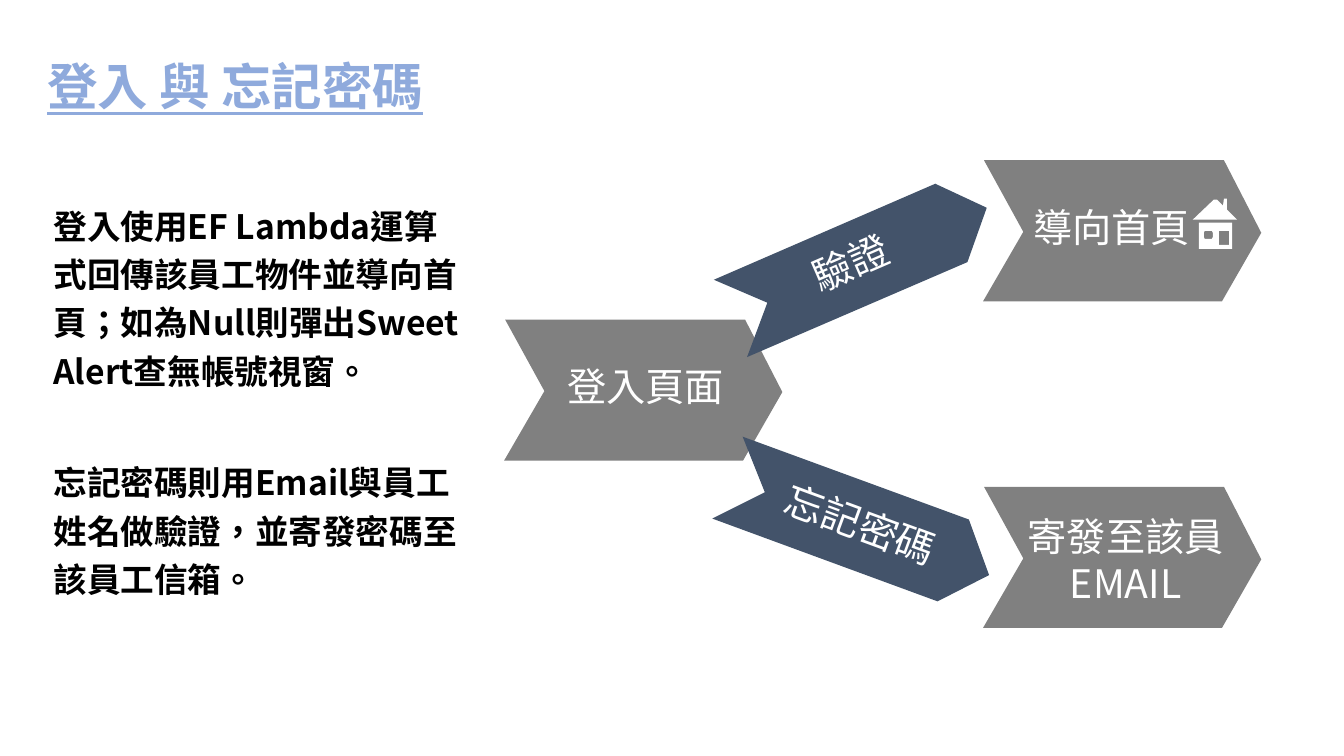
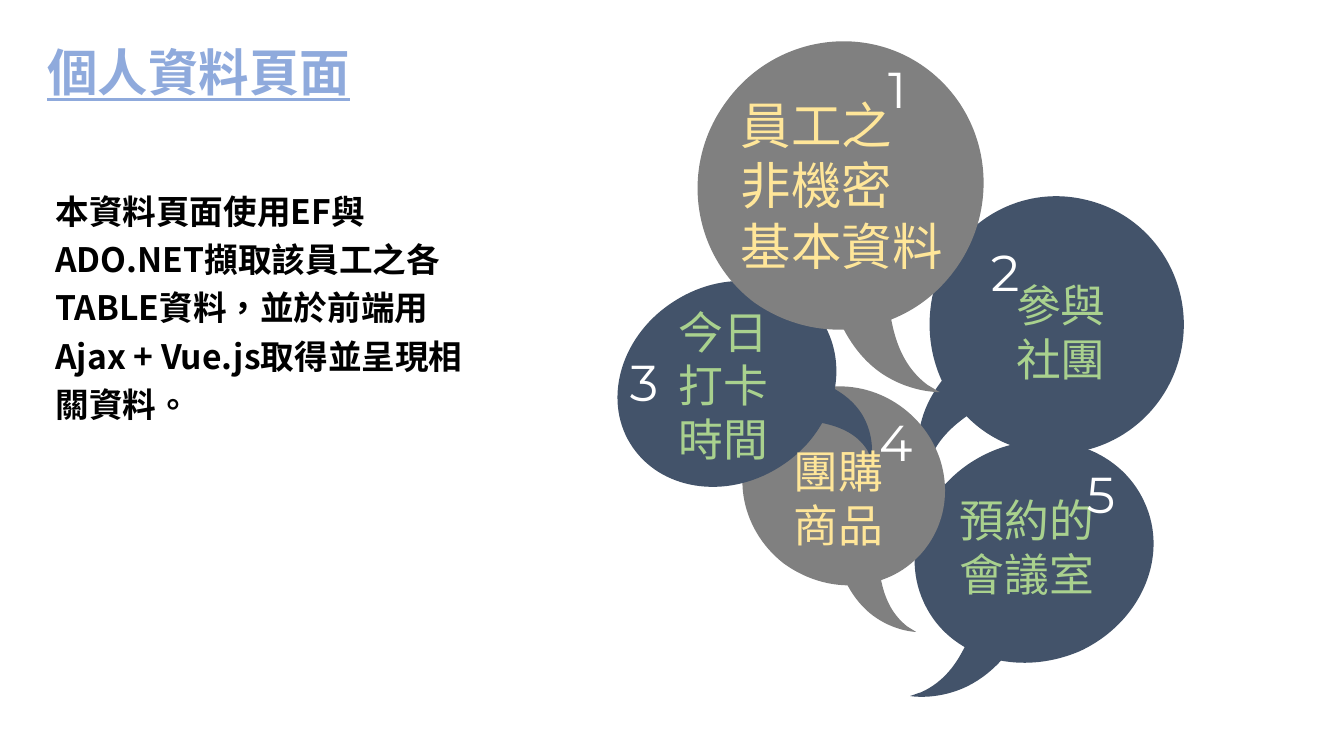
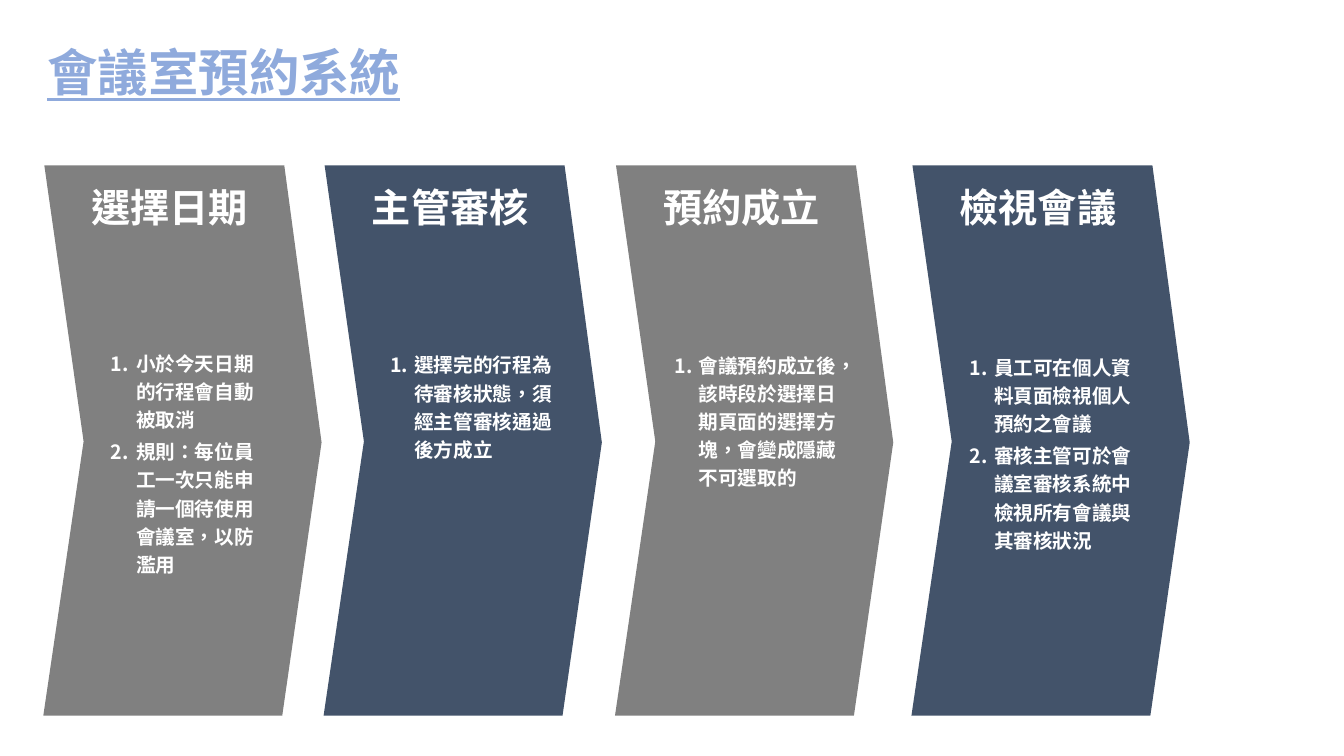
from math import cos, radians, sin

from lxml.etree import SubElement
from pptx import Presentation
from pptx.dml.color import RGBColor
from pptx.enum.text import MSO_ANCHOR, MSO_AUTO_SIZE, PP_ALIGN
from pptx.oxml.ns import qn
from pptx.util import Inches, Pt

# Shared look
GRAY, NAVY, WHITE, BLACK = "808080", "43536A", "FFFFFF", "000000"
BLUE, YELLOW, GREEN = "8FAADC", "FFE699", "A9D18E"
CJK = "Noto Sans CJK SC"
HEAD = {"size": Pt(36), "name": CJK, "bold": True, "underline": True}
BODY = {"size": Pt(24), "name": CJK, "bold": True}
LABEL = {"size": Pt(28), "name": CJK}
STEP = {"size": Pt(28), "name": CJK, "bold": True}
ITEM = {"size": Pt(14), "name": CJK, "bold": True}
DIGIT = {"size": Pt(36), "name": "Montserrat"}
PAD = (0.16, 0.08)

# Largest bubble: a start point, then curves of three points each
OUTLINE = [
    (9.19, 0.68),
    (9.82, 1.15), (9.94, 2.04), (9.47, 2.68),
    (9.3, 2.91), (9.09, 3.07), (8.84, 3.17),
    (8.88, 3.38), (8.96, 3.64), (9.2, 3.82),
    (9.24, 3.84), (9.28, 3.87), (9.32, 3.89),
    (9.32, 3.89), (9.01, 3.9), (8.71, 3.68),
    (8.59, 3.59), (8.47, 3.46), (8.37, 3.27),
    (8.06, 3.28), (7.75, 3.19), (7.48, 3),
    (6.86, 2.53), (6.73, 1.64), (7.21, 1),
    (7.68, 0.36), (8.57, 0.22), (9.19, 0.68),
]
# Three points of the outline that fix its place, size and turn
FRAME = (OUTLINE[0], OUTLINE[3], OUTLINE[24])


def color(code):
    return RGBColor.from_string(code)


def place(shape, box):
    for name, value in zip(("left", "top", "width", "height"), box):
        setattr(shape, name, Inches(value))


def write(frame, words, style, hue, align=PP_ALIGN.LEFT, line=None,
          gaps=(), indent=None):
    """Fill a text frame, one paragraph for each line of words."""
    for i, part in enumerate(words.split("\n")):
        para = frame.paragraphs[0] if i == 0 else frame.add_paragraph()
        para.alignment = align
        para.line_spacing = line
        if gaps:
            para.space_before = Pt(gaps[min(i, len(gaps) - 1)])
        run = para.add_run()
        run.text = part
        for name, value in style.items():
            setattr(run.font, name, value)
        run.font.color.rgb = color(hue)
        props = run._r.get_or_add_rPr()
        props.set("lang", "zh-TW")
        SubElement(props, qn("a:ea")).set("typeface", style["name"])
        if indent:
            number(para, *indent)


def number(para, left, first):
    props = para._p.get_or_add_pPr()
    props.set("marL", str(Inches(left)))
    props.set("indent", str(Inches(first)))
    SubElement(props, qn("a:buAutoNum")).set("type", "arabicPeriod")


def text(slide, box, words, style, hue=WHITE, pad=(0.1, 0.05), turn=0,
         anchor=MSO_ANCHOR.TOP, **rest):
    shape = slide.shapes.add_textbox(*map(Inches, box))
    shape.rotation = turn
    frame = shape.text_frame
    side, edge = map(Inches, pad)
    form = {"word_wrap": True, "vertical_anchor": anchor,
            "margin_left": side, "margin_right": side,
            "margin_top": edge, "margin_bottom": edge}
    for name, value in form.items():
        setattr(frame, name, value)
    write(frame, words, style, hue, **rest)


def page(deck, words, top=0.32):
    """Add a title-only slide with the shared title style."""
    slide = deck.slides.add_slide(deck.slide_layouts[5])
    title = slide.shapes.title
    place(title, (0.37, top, 4.41, 0.72))
    form = {"auto_size": MSO_AUTO_SIZE.NONE, "word_wrap": True,
            "vertical_anchor": MSO_ANCHOR.MIDDLE}
    for name, value in form.items():
        setattr(title.text_frame, name, value)
    write(title.text_frame, words, HEAD, BLUE, line=1.1)
    return slide


def draw(slide, hue, *loops):
    """Draw closed outlines, given in inches, as one filled shape."""
    loops = [[(Inches(x), Inches(y)) for x, y in loop] for loop in loops]
    pen = slide.shapes.build_freeform(*loops[0][0])
    for i, loop in enumerate(loops):
        if i:
            pen.move_to(*loop[0])
        pen.add_line_segments(loop[1:], close=True)
    shape = pen.convert_to_shape()
    shape.shadow.inherit = False
    shape.fill.solid()
    shape.fill.fore_color.rgb = color(hue)
    shape.line.fill.background()
    return shape


def unturn(points, box, turn):
    """Turn points back about the middle of a box."""
    left, top, wide, high = box
    mx, my = left + wide / 2, top + high / 2
    c, s = cos(radians(turn)), sin(radians(turn))
    return [(mx + (x - mx) * c + (y - my) * s,
             my - (x - mx) * s + (y - my) * c) for x, y in points]


def arrow(slide, box, turn, points):
    shape = draw(slide, NAVY, unturn(points, box, turn))
    place(shape, box)
    shape.rotation = turn


def chevron(slide, x, y, high, hue):
    mid = high / 2
    spots = [(0.01, 0), (0.4, mid + 0.01), (0, high), (2.37, high),
             (2.76, mid + 0.02), (2.39, 0)]
    draw(slide, hue, [(x + dx, y + dy) for dx, dy in spots])


def rect(left, top, right, low):
    return [(left, top), (left, low), (right, low), (right, top)]


def curve(slide, hue, box, turn, points):
    """Draw a closed chain of cubic curves inside a turned box."""
    points = unturn(points, box, turn)
    shape = draw(slide, hue, points[::3])
    place(shape, box)
    shape.rotation = turn
    left, top, wide, high = box
    path = next(shape._element.iter(qn("a:path")))
    for child in list(path):
        path.remove(child)
    path.set("w", str(Inches(wide)))
    path.set("h", str(Inches(high)))
    groups = [points[:1]]
    groups += [points[i:i + 3] for i in range(1, len(points), 3)]
    for group in groups:
        kind = "a:moveTo" if len(group) == 1 else "a:cubicBezTo"
        node = SubElement(path, qn(kind))
        for x, y in group:
            spot = SubElement(node, qn("a:pt"))
            spot.set("x", str(Inches(x - left)))
            spot.set("y", str(Inches(y - top)))
    SubElement(path, qn("a:close"))


def bubble(slide, hue, box, turn, start, end, side):
    """Map the outline so that its frame lands on the three points."""
    (ox, oy), (ax, ay), (bx, by) = FRAME
    ax, ay, bx, by = ax - ox, ay - oy, bx - ox, by - oy
    area = ax * by - bx * ay
    points = []
    for x, y in OUTLINE:
        u = ((x - ox) * by - (y - oy) * bx) / area
        v = ((y - oy) * ax - (x - ox) * ay) / area
        points.append(tuple(s + u * (e - s) + v * (q - s)
                            for s, e, q in zip(start, end, side)))
    curve(slide, hue, box, turn, points)


def login(deck):
    slide = page(deck, "登入 與 忘記密碼", 0.46)
    # Flow: one start, two ways
    chevron(slide, 5, 3.17, 1.4, GRAY)
    arrow(slide, (7.13, 2.19, 2.77, 0.84), 336.6,
          [(7.08, 2.77), (7.61, 3), (7.41, 3.54), (9.59, 2.6),
           (9.78, 2.06), (9.27, 1.82)])
    chevron(slide, 9.75, 1.59, 1.4, GRAY)
    arrow(slide, (7.13, 4.78, 2.77, 0.87), 20.2,
          [(7.37, 4.33), (7.59, 4.88), (7.07, 5.14), (9.3, 5.96),
           (9.81, 5.7), (9.61, 5.15)])
    text(slide, (0.37, 1.88, 4.38, 4.2),
         "登入使用EF Lambda運算式回傳該員工物件並導向首頁；如為Null則彈出"
         "Sweet Alert查無帳號視窗。\n"
         "忘記密碼則用Email與員工姓名做驗證，並寄發密碼至該員工信箱。",
         BODY, BLACK, PAD, line=1.2, gaps=(4, 45))
    chevron(slide, 9.75, 4.83, 1.4, GRAY)
    labels = [(5.02, 3.55, 0, "登入頁面"), (7.05, 2.32, 336.5, "驗證"),
              (9.64, 1.97, 0, "導向首頁"), (7.15, 4.91, 20.2, "忘記密碼"),
              (9.78, 5.03, 0, "寄發至該員EMAIL")]
    for x, y, turn, words in labels:
        high = 1.04 if len(words) > 4 else 0.57
        text(slide, (x, y, 2.77, high), words, LABEL, turn=turn,
             align=PP_ALIGN.CENTER)
    # House: door, window, wall, roof
    draw(slide, WHITE, rect(12.09, 2.29, 12.19, 2.43),
         [(11.95, 2.29), (11.94, 2.31), (11.94, 2.35), (11.95, 2.37),
          (12.02, 2.37), (12.03, 2.35), (12.03, 2.31), (12.02, 2.29)],
         rect(11.89, 2.21, 12.22, 2.47)[::-1],
         [(12.17, 1.97), (12.17, 2.08), (12.27, 2.18), (11.83, 2.18),
          (12.04, 1.98), (12.07, 1.98), (12.13, 2.04), (12.14, 1.97)])


def profile(deck):
    slide = page(deck, "個人資料頁面")
    # Bubbles, from back to front: colour, box, turn, three frame points
    bubbles = [
        (NAVY, (8.57, 4.5, 2.9, 2.17), 335.5,
         (9.81, 4.49), (9.16, 5.97), (11.35, 4.98)),
        (NAVY, (8.88, 2.22, 3.09, 2.53), 102.7,
         (11.71, 3.5), (10.2, 4.47), (10.76, 1.98)),
        (GRAY, (7.31, 3.98, 2.46, 1.93), 37.4,
         (8.96, 4.05), (9.18, 5.44), (7.56, 4.2)),
        (NAVY, (6.14, 2.85, 2.36, 2.26), 238.3,
         (6.25, 4.4), (7.72, 4.64), (6.7, 2.98)),
        (GRAY, (6.87, 0.58, 3.42, 2.88), 36.5, *FRAME),
    ]
    for form in bubbles:
        bubble(slide, *form)
    # Topics and their numbers
    topics = [((7.25, 0.88, 2.42, 1.92), "員工之\n非機密\n基本資料", YELLOW, 36),
              ((9.98, 2.71, 1.48, 1.18), "參與\n社團", GREEN, 32),
              ((6.63, 2.97, 1.48, 1.72), "今日打卡時間", GREEN, 32),
              ((7.77, 4.35, 1.48, 1.18), "團購商品", YELLOW, 32),
              ((9.42, 4.84, 1.72, 1.18), "預約的會議室", GREEN, 32)]
    spots = [(8.71, 0.53), (9.73, 2.34), (6.15, 3.43), (8.62, 4.03),
             (10.68, 4.54)]
    for i, (box, words, hue, size) in enumerate(topics):
        text(slide, box, words, {"size": Pt(size), "name": CJK}, hue)
        text(slide, (*spots[i], 0.54, 0.71), str(i + 1), DIGIT)
    text(slide, (0.39, 1.73, 4.41, 2.58),
         "本資料頁面使用EF與ADO.NET擷取該員工之各TABLE資料，並於前端用"
         "Ajax + Vue.js取得並呈現相關資料。",
         BODY, BLACK, PAD, line=1.2, gaps=(4.8,))


def booking(deck):
    slide = page(deck, "會議室預約系統")
    # Each step: left edge, heading, list box, indents, list
    wide = (0.37, -0.24)
    steps = [
        (0.43, "選擇日期", (0.94, 3.36, 1.74, 2.45), (0.25, -0.25),
         "小於今天日期的行程會自動被取消\n"
         "規則：每位員工一次只能申請一個待使用會議室，以防濫用"),
        (3.21, "主管審核", (3.58, 3.38, 2.17, 1.27), wide,
         "選擇完的行程為待審核狀態，須經主管審核通過後方成立"),
        (6.1, "預約成立", (6.4, 3.38, 2.17, 1.55), wide,
         "會議預約成立後，該時段於選擇日期頁面的選擇方塊，會變成隱藏不可選取的"),
        (9.04, "檢視會議", (9.33, 3.4, 2.17, 2.16), wide,
         "員工可在個人資料頁面檢視個人預約之會議\n"
         "審核主管可於會議室審核系統中檢視所有會議與其審核狀況"),
    ]
    for i, (x, name, box, indent, words) in enumerate(steps):
        chevron(slide, x, 1.64, 5.46, (GRAY, NAVY)[i % 2])
        text(slide, (x + 0.38, 1.74, 2, 0.58), name, STEP,
             anchor=MSO_ANCHOR.MIDDLE, line=1.1)
        text(slide, box, words, ITEM, pad=PAD, line=1.2, gaps=(2.8,),
             indent=indent)


def main():
    deck = Presentation()
    deck.slide_width, deck.slide_height = Inches(13.33), Inches(7.5)
    for build in (login, profile, booking):
        build(deck)
    deck.save("out.pptx")


if __name__ == "__main__":
    main()
